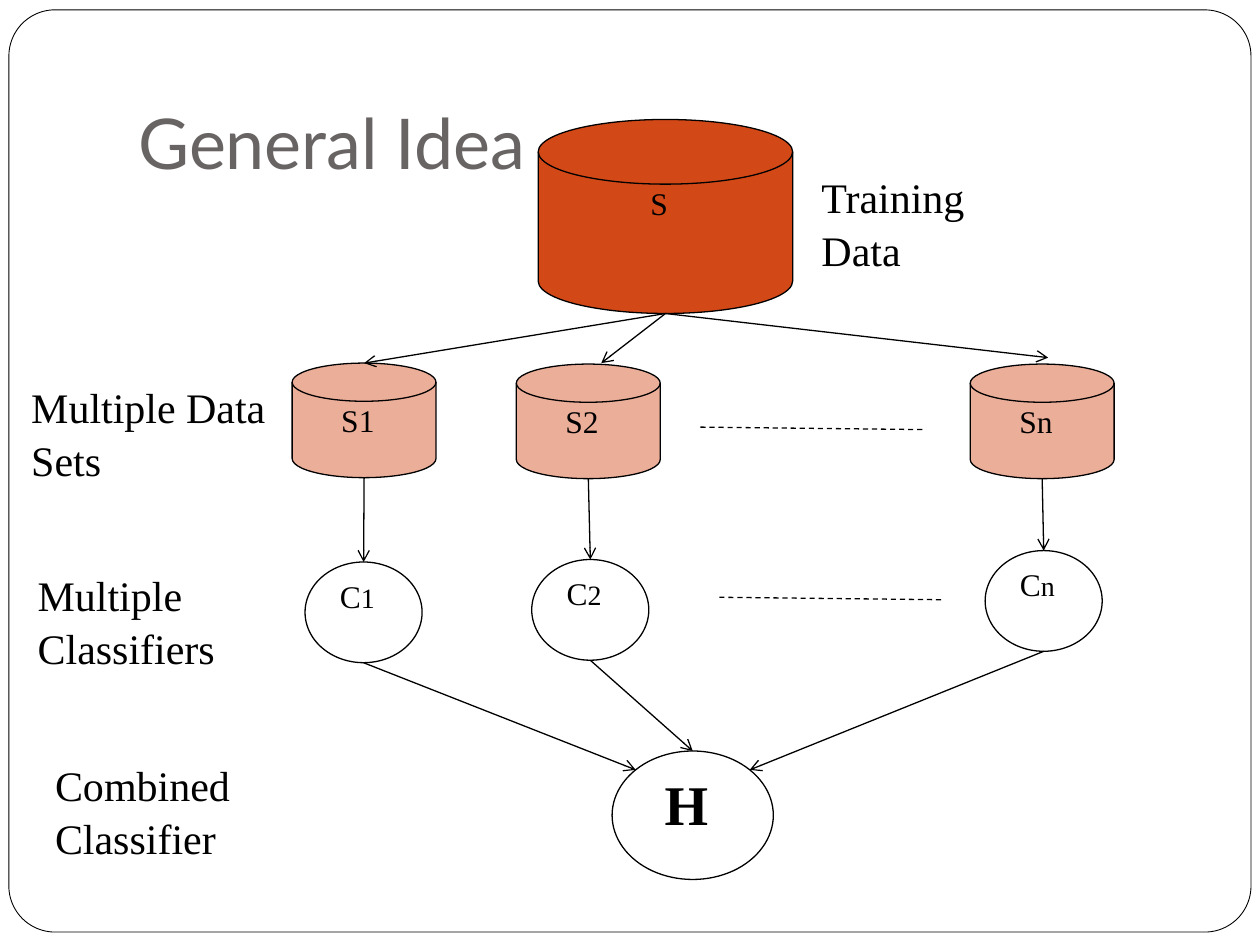
from dataclasses import dataclass
from math import sqrt

from lxml import etree
from pptx import Presentation
from pptx.dml.color import RGBColor
from pptx.enum.dml import MSO_LINE
from pptx.enum.shapes import MSO_CONNECTOR, MSO_SHAPE
from pptx.enum.text import MSO_ANCHOR, PP_ALIGN
from pptx.oxml.ns import qn
from pptx.util import Cm, Pt

CYLINDER = MSO_SHAPE.FLOWCHART_MAGNETIC_DISK
ELLIPSE = MSO_SHAPE.OVAL
ROUNDED = MSO_SHAPE.ROUNDED_RECTANGLE
STRAIGHT = MSO_CONNECTOR.STRAIGHT
DASH = MSO_LINE.DASH
TOP, BOTTOM = MSO_ANCHOR.TOP, MSO_ANCHOR.BOTTOM
LEFT, CENTER = PP_ALIGN.LEFT, PP_ALIGN.CENTER

COLORS = {"white": "FFFFFF", "black": "000000", "title": "696464", "data": "D34817"}
SERIF = "Times New Roman"
TITLE_FONT = "Lato"

Point = tuple[float, float]


@dataclass(frozen=True)
class Span:
    text: str
    size: float
    font: str = SERIF
    color: str = "black"
    bold: bool = False


@dataclass(frozen=True)
class Box:
    left: float
    top: float
    width: float
    height: float

    def point(self, across: float, down: float) -> Point:
        return self.left + self.width * across, self.top + self.height * down


@dataclass(frozen=True)
class Node:
    box: Box
    kind: int
    spans: tuple[Span, ...] = ()
    fill: str | None = None
    opacity: int = 100
    line_width: float = 0.75


@dataclass(frozen=True)
class Label:
    box: Box
    span: Span
    anchor: int = TOP
    bottom_inset: float = 0.13
    spacing: float = 1.05


def color(name: str) -> RGBColor:
    return RGBColor.from_string(COLORS[name])


def write(frame, spans: tuple[Span, ...], align: int, spacing: float = 1.0) -> None:
    frame.word_wrap = True
    para = frame.paragraphs[0]
    para.alignment = align
    para.line_spacing = spacing
    for span in spans:
        run = para.add_run()
        run.text = span.text
        run.font.size = Pt(span.size)
        run.font.name = span.font
        run.font.bold = span.bold
        run.font.color.rgb = color(span.color)


def place(box: Box) -> tuple[Cm, Cm, Cm, Cm]:
    return Cm(box.left), Cm(box.top), Cm(box.width), Cm(box.height)


def draw_node(page, node: Node):
    shape = page.shapes.add_shape(node.kind, *place(node.box))
    shape.shadow.inherit = False
    if node.fill:
        shape.fill.solid()
        shape.fill.fore_color.rgb = color(node.fill)
        if node.opacity < 100:
            tint = shape.fill._xPr.find(qn("a:solidFill"))[0]
            etree.SubElement(tint, qn("a:alpha"), val=str(node.opacity * 1000))
    else:
        shape.fill.background()
    shape.line.color.rgb = color("black")
    shape.line.width = Pt(node.line_width)
    frame = shape.text_frame
    frame.vertical_anchor = TOP
    frame.margin_left = frame.margin_top = Cm(0)
    frame.margin_right, frame.margin_bottom = Cm(0.25), Cm(0.13)
    write(frame, node.spans, CENTER)
    return shape


def draw_label(page, label: Label) -> None:
    frame = page.shapes.add_textbox(*place(label.box)).text_frame
    frame.vertical_anchor = label.anchor
    frame.margin_bottom = Cm(label.bottom_inset)
    write(frame, (label.span,), LEFT, label.spacing)


def draw_line(page, start: Point, end: Point, dashed: bool = False) -> None:
    connector = page.shapes.add_connector(STRAIGHT, *(Cm(value) for value in start + end))
    connector.line.color.rgb = color("black")
    connector.line.width = Pt(0.75)
    if dashed:
        connector.line.dash_style = DASH
    else:
        etree.SubElement(connector.line._get_or_add_ln(), qn("a:tailEnd"), type="arrow")
    etree.SubElement(connector._element.spPr, qn("a:effectLst"))


def data_set(left: float, top: float, name: str) -> Node:
    return Node(Box(left, top, 2.9, 2.31), CYLINDER, (Span(name, 18),), "data", 44)


def classifier(left: float, top: float, index: str) -> Node:
    return Node(Box(left, top, 2.36, 2.03), ELLIPSE, (Span("C", 18), Span(index, 16)))


def main() -> None:
    deck = Presentation()
    deck.slide_width, deck.slide_height = Cm(25.4), Cm(19.05)
    page = deck.slides.add_slide(deck.slide_layouts[6])

    border = Node(Box(0.18, 0.2, 25.04, 18.59), ROUNDED, fill="white", line_width=0.5)
    draw_node(page, border).adjustments[0] = 0.05

    title = Span("General Idea", 40, TITLE_FONT, "title")
    training = Node(Box(10.85, 2.41, 5.13, 3.91), CYLINDER, (Span("S", 18),), "data")
    data_sets = [data_set(5.89, 7.32, "S1"), data_set(10.41, 7.34, "S2"), data_set(19.56, 7.34, "Sn")]
    classifiers = [classifier(6.15, 11.33, "1"), classifier(10.72, 11.28, "2"), classifier(19.86, 11.1, "n")]
    combined = Node(Box(12.34, 15.14, 3.25, 2.59), ELLIPSE, (Span("H", 32, bold=True),))

    draw_label(page, Label(Box(2.54, 0.76, 21.59, 3.18), title, BOTTOM, 0.25, 1.0))
    for node in (training, *data_sets, *classifiers, combined):
        draw_node(page, node)

    for left, top, width, text in (
        (16.31, 3.28, 3.61, "Training Data"),
        (0.38, 7.52, 5.26, "Multiple Data Sets"),
        (0.51, 11.3, 5.26, "Multiple Classifiers"),
        (0.86, 15.14, 5.26, "Combined Classifier"),
    ):
        draw_label(page, Label(Box(left, top, width, 2.31), Span(text, 24)))

    diagonal = sqrt(0.5) / 2
    sample_tips = ((7.34, 7.32), (12.12, 7.32), (21.13, 7.21))
    combined_tips = (
        combined.box.point(0.5 - diagonal, 0.5 - diagonal),
        combined.box.point(0.5, 0),
        combined.box.point(0.5 + diagonal, 0.5 - diagonal),
    )
    for sample, learner, sample_tip, vote_tip in zip(data_sets, classifiers, sample_tips, combined_tips):
        draw_line(page, training.box.point(0.5, 1), sample_tip)
        draw_line(page, sample.box.point(0.5, 1), learner.box.point(0.5, 0))
        draw_line(page, learner.box.point(0.5, 1), vote_tip)

    for left, top in ((14.12, 8.61), (14.5, 12.04)):
        draw_line(page, (left, top), (left + 4.52, top + 0.05), dashed=True)

    deck.save("out.pptx")


if __name__ == "__main__":
    main()
